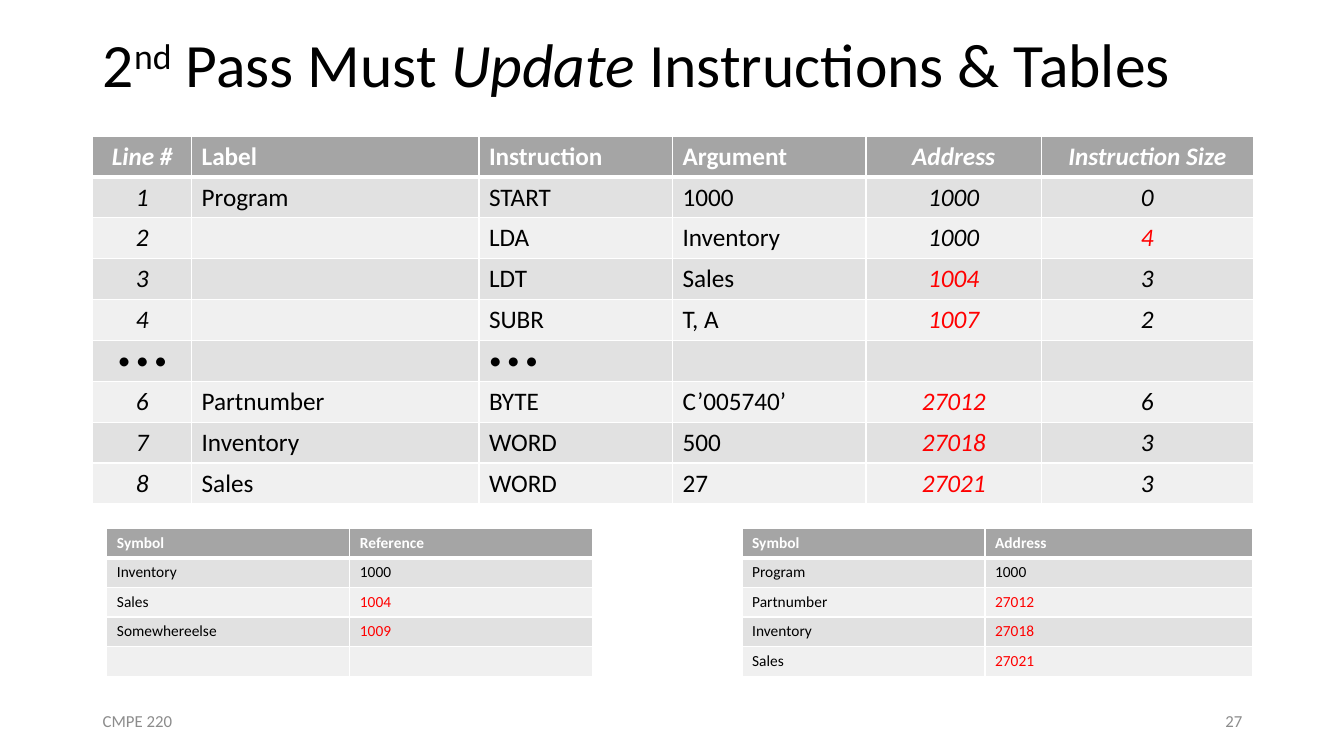
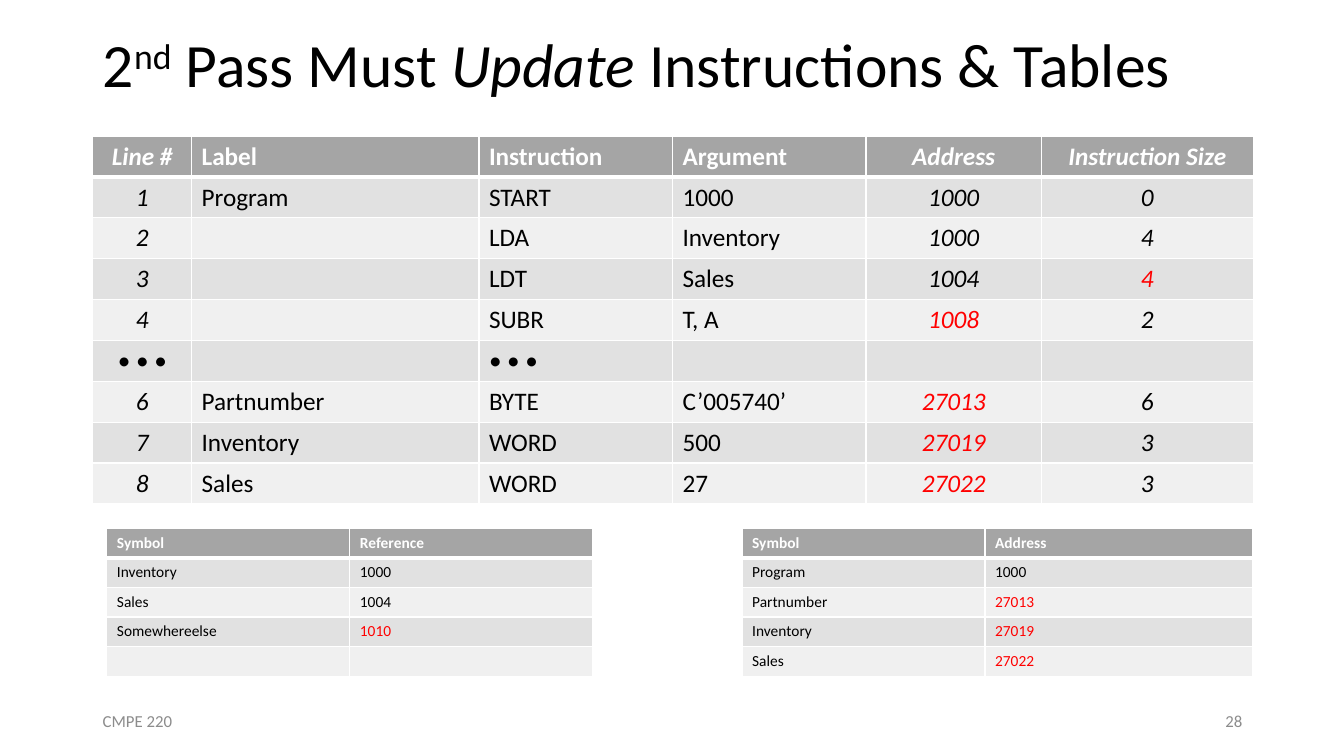
from lxml import etree
from pptx import Presentation
from pptx.dml.color import RGBColor
from pptx.enum import text
from pptx.oxml import ns
from pptx.util import Inches, Pt

BLACK = RGBColor(0x00, 0x00, 0x00)
WHITE = RGBColor(0xFF, 0xFF, 0xFF)
RED = RGBColor(0xFF, 0x00, 0x00)
FOOTER_GREY = RGBColor(0x8C, 0x8C, 0x8C)
HEADER_GREY = RGBColor(0xA5, 0xA5, 0xA5)
BANDS = (RGBColor(0xE1, 0xE1, 0xE1), RGBColor(0xF0, 0xF0, 0xF0))

FONT = "Calibri"
LEFT, WIDTH = 0.92, 11.5
CHANGED = "*"
DOTS = "• • •"

TITLE = (("2", {}), ("nd", {"raised": True}), (" Pass Must ", {}),
         ("Update", {"italic": True}), (" Instructions & Tables", {}))
PROGRAM_HEADER = ("Line #", "Label", "Instruction", "Argument", "Address", "Instruction Size")
PROGRAM_COLUMNS = (0.98, 2.85, 1.92, 1.92, 1.74, 2.1)
COMPUTED_COLUMNS = (0, 4, 5)
PROGRAM = (
    ("1", "Program", "START", "1000"),
    ("2", "", "LDA", "Inventory"),
    ("3", "", "LDT", "Sales"),
    ("4", "", "SUBR", "T, A"),
    (DOTS, "", DOTS, ""),
    ("6", "Partnumber", "BYTE", "C’005740’"),
    ("7", "Inventory", "WORD", "500"),
    ("8", "Sales", "WORD", "27"),
)
PASSES = (
    {"number": 27,
     "addresses": ("1000", "1000", "*1004", "*1007", "", "*27012", "*27018", "*27021"),
     "sizes": ("0", "*4", "3", "2", "", "6", "3", "3"),
     "elsewhere": "*1009"},
    {"number": 28,
     "addresses": ("1000", "1000", "1004", "*1008", "", "*27013", "*27019", "*27022"),
     "sizes": ("0", "4", "*4", "2", "", "6", "3", "3"),
     "elsewhere": "*1010"},
)


class Deck:
    """Holds the shared style and the slide being built."""

    def __init__(self):
        self.prs = Presentation()
        self.prs.slide_width = Inches(13.33)
        self.prs.slide_height = Inches(7.5)
        self.slide = None

    def new_slide(self, number):
        self.slide = self.prs.slides.add_slide(self.prs.slide_layouts[5])
        self.title()
        self.footer("CMPE 220", LEFT, text.PP_ALIGN.LEFT)
        self.footer(str(number), LEFT + WIDTH - 3, text.PP_ALIGN.RIGHT)

    def run(self, p, words, size, color=BLACK, bold=False, italic=False, raised=False):
        r = p.add_run()
        r.text = words
        r.font.name = FONT
        r.font.size = Pt(size)
        r.font.color.rgb = color
        r.font.bold = bold
        r.font.italic = italic
        if raised:
            r.font._element.set("baseline", "30000")

    def title(self):
        sp = self.slide.shapes.title
        sp.left, sp.top = Inches(LEFT), Inches(0)
        sp.width, sp.height = Inches(WIDTH), Inches(1.35)
        tf = sp.text_frame
        tf.auto_size = text.MSO_AUTO_SIZE.NONE
        tf.vertical_anchor = text.MSO_ANCHOR.MIDDLE
        p = tf.paragraphs[0]
        p.alignment = text.PP_ALIGN.LEFT
        p.line_spacing = 0.9
        for words, style in TITLE:
            self.run(p, words, 44, **style)

    def footer(self, words, left, align):
        sp = self.slide.shapes.add_textbox(Inches(left), Inches(6.95), Inches(3), Inches(0.4))
        tf = sp.text_frame
        tf.word_wrap = True
        tf.vertical_anchor = text.MSO_ANCHOR.MIDDLE
        p = tf.paragraphs[0]
        p.alignment = align
        self.run(p, words, 12, FOOTER_GREY)

    def borders(self, cell, bottom):
        tc_pr = cell._tc.get_or_add_tcPr()
        for side, width in (("L", 1), ("R", 1), ("T", 1), ("B", bottom)):
            ln = etree.SubElement(tc_pr, ns.qn(f"a:ln{side}"), w=str(Pt(width)))
            fill = etree.SubElement(ln, ns.qn("a:solidFill"))
            etree.SubElement(fill, ns.qn("a:srgbClr"), val=str(WHITE))

    def cell(self, cell, value, row, size, computed):
        is_header = row == 0
        self.borders(cell, 3 if is_header else 1)
        cell.fill.solid()
        cell.fill.fore_color.rgb = HEADER_GREY if is_header else BANDS[(row - 1) % 2]
        p = cell.text_frame.paragraphs[0]
        if computed:
            p.alignment = text.PP_ALIGN.CENTER
        if not value:
            etree.SubElement(p._p, ns.qn("a:endParaRPr"), sz=str(size * 100))
            return
        color = WHITE if is_header else RED if value.startswith(CHANGED) else BLACK
        self.run(p, value.removeprefix(CHANGED), size, color, is_header, computed)

    def table(self, left, top, height, columns, rows, size, computed=()):
        frame = self.slide.shapes.add_table(
            len(rows), len(columns), Inches(left), Inches(top),
            Inches(sum(columns)), Inches(height))
        tbl = frame.table
        tbl.horz_banding = False
        for column, width in zip(tbl.columns, columns):
            column.width = Inches(width)
        for i, values in enumerate(rows):
            tbl.rows[i].height = Inches(height / len(rows))
            for j, value in enumerate(values):
                self.cell(tbl.cell(i, j), value, i, size, j in computed)


def add_pass(deck, number, addresses, sizes, elsewhere):
    deck.new_slide(number)
    lines = [(*line, address, size)
             for line, address, size in zip(PROGRAM, addresses, sizes)]
    deck.table(LEFT, 1.35, 3.65, PROGRAM_COLUMNS, [PROGRAM_HEADER, *lines], 18,
               COMPUTED_COLUMNS)
    symbols = [(line[1], line[4]) for line in lines if line[1]]
    deck.table(7.36, 5.24, 1.47, (2.41, 2.65), [("Symbol", "Address"), *symbols], 11)
    references = [(line[3], line[4]) for line in lines[1:3]]
    deck.table(1.06, 5.24, 1.47, (2.41, 2.41),
               [("Symbol", "Reference"), *references,
                ("Somewhereelse", elsewhere), ("", "")], 11)


def main():
    deck = Deck()
    for values in PASSES:
        add_pass(deck, **values)
    deck.prs.save("out.pptx")


if __name__ == "__main__":
    main()
